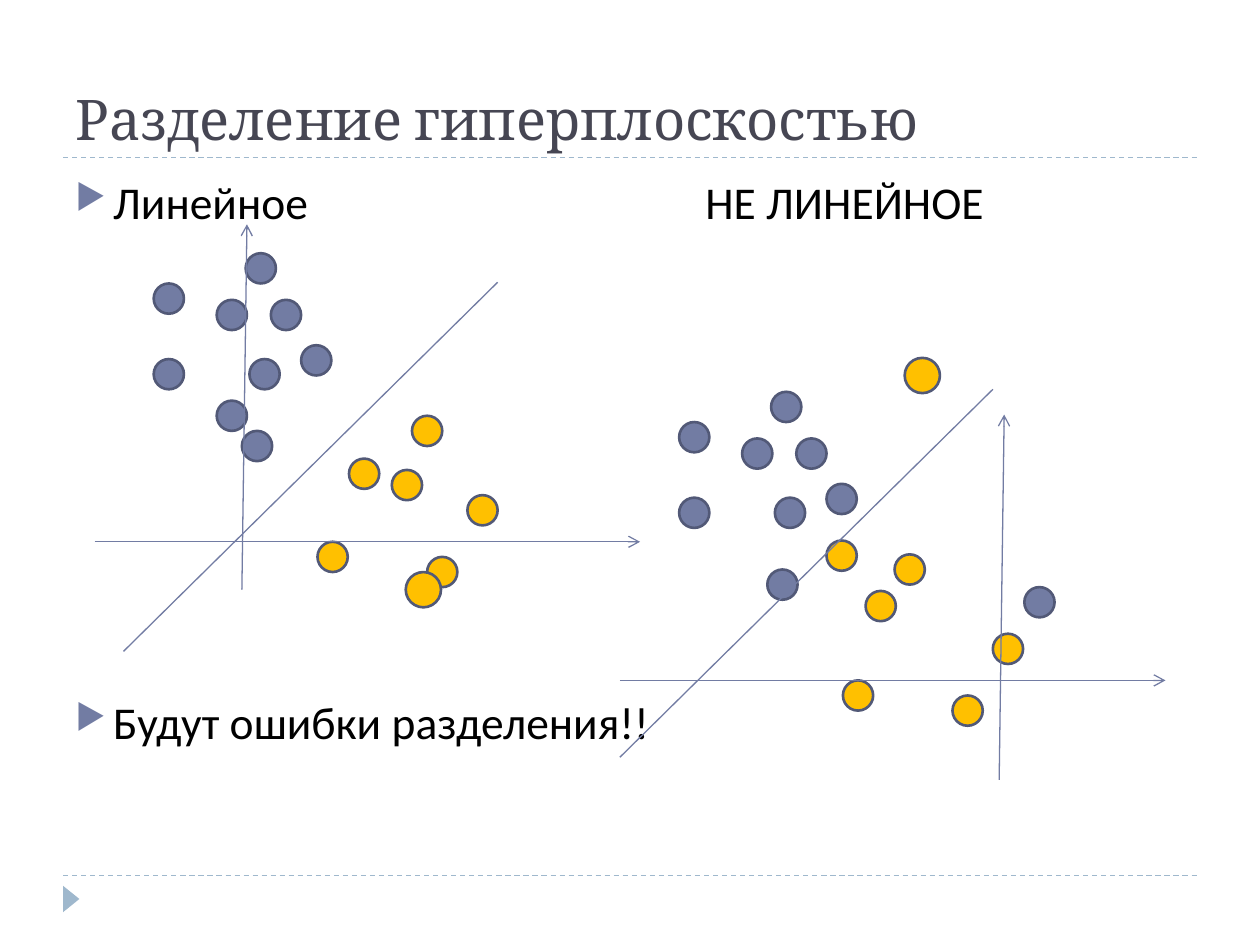
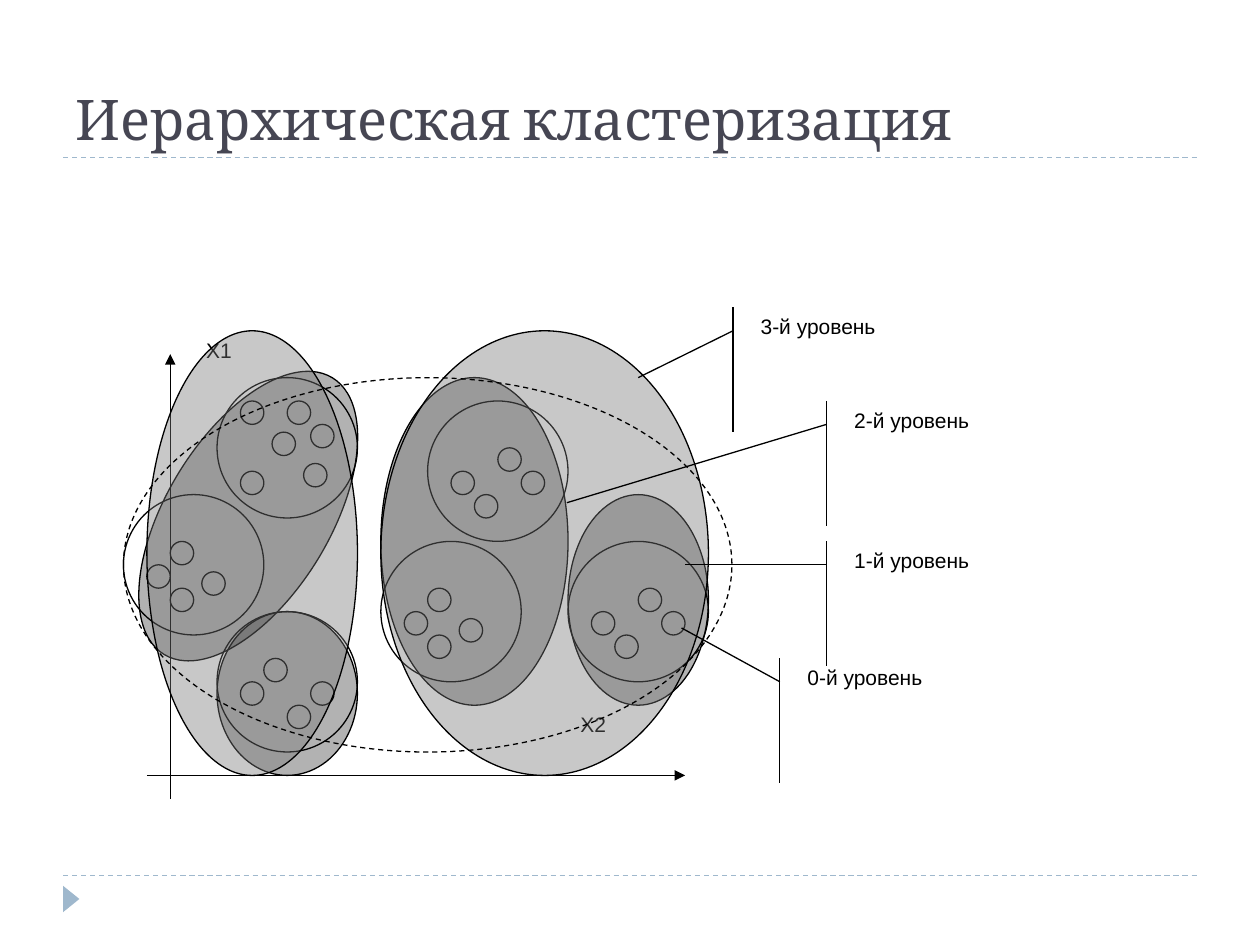
from dataclasses import dataclass

from lxml import etree
from pptx import Presentation
from pptx.dml.color import RGBColor
from pptx.enum.dml import MSO_LINE
from pptx.enum.shapes import MSO_CONNECTOR, MSO_SHAPE
from pptx.enum.text import MSO_ANCHOR, PP_ALIGN
from pptx.oxml.ns import qn
from pptx.util import Inches, Pt

ELLIPSE, TRIANGLE = MSO_SHAPE.OVAL, MSO_SHAPE.ISOSCELES_TRIANGLE
CALLOUT = MSO_SHAPE.LINE_CALLOUT_1_ACCENT_BAR
STRAIGHT, DASH = MSO_CONNECTOR.STRAIGHT, MSO_LINE.DASH
TOP, BOTTOM, LEFT = MSO_ANCHOR.TOP, MSO_ANCHOR.BOTTOM, PP_ALIGN.LEFT


@dataclass(frozen=True)
class Theme:
    accent: str = "727CA3"
    accent_dark: str = "525977"
    pale: str = "9FB8CD"
    yellow: str = "FFC000"
    grey: str = "777777"
    black: str = "000000"
    white: str = "FFFFFF"
    title: tuple = ("Cambria", 32, "464653")
    body: tuple = ("Calibri", 26, "000000")
    label: tuple = ("Arial", 12, "000000")
    thin: float = 0.75
    thick: float = 1.5


THEME = Theme()


@dataclass(frozen=True)
class Grid:
    """Square cells of a given size in inches, counted from an origin."""
    cell: float
    left: float = 0
    top: float = 0

    def point(self, column: float, row: float) -> tuple:
        return (Inches(self.left + column * self.cell),
                Inches(self.top + row * self.cell))

    def box(self, column: float, row: float, width: float, height: float) -> tuple:
        return (*self.point(column, row),
                Inches(width * self.cell), Inches(height * self.cell))


PAGE = Grid(0.1)                            # 100 columns by 75 rows
CLUSTER_GRID = Grid(1.3 / 7, 0.98, 2.44)


@dataclass(frozen=True)
class Style:
    fill: str | None = None
    opacity: int = 100
    line: str | None = None
    weight: float = THEME.thin
    dashed: bool = False
    arrow: str | None = None


@dataclass(frozen=True)
class Panel:
    """One scatter diagram; its points are counted from the panel's grid."""
    grid: Grid
    blue: list
    yellow: list
    large: tuple
    boundary: tuple
    vertical: tuple


@dataclass(frozen=True)
class Level:
    text: str
    column: float
    row: float
    tip: tuple


# Scatter points and axes that both panels share
SHARED_BLUE = [(12.2, 22.5), (19.5, 20.1), (12.2, 28.5), (21.5, 23.8),
               (17.2, 23.8), (19.8, 28.5), (23.9, 27.4), (19.2, 34.2)]
SHARED_YELLOW = [(25.2, 43), (33.9, 44.2), (37.1, 39.3)]
HORIZONTAL_AXIS = ((7.5, 43), (50.8, 43))
DOT, LARGE_DOT = 2.4, 2.8

PANELS = [
    Panel(PAGE, [(17.2, 31.8)], [(32.7, 33), (27.7, 36.4), (31.1, 37.3)],
          (32.2, 45.4), ((39.5, 22.4), (9.8, 51.7)), ((19.2, 46.8), (19.6, 17.8))),
    Panel(Grid(0.1, 4.17, 1.1), [(39.6, 35.6)],
          [(29.3, 33), (23.9, 31.9), (27, 35.9)],
          (30.1, 17.4), ((37.1, 19.9), (7.5, 49.1)), ((37.6, 50.9), (38, 21.9))),
]

# Hierarchy: objects, then clusters of each level
OBJECTS = [
    (5, 4), (6.35, 5.33), (5, 7), (8, 5), (7, 4), (7.7, 6.67),
    (16, 6), (15, 8), (17, 7), (14, 7),
    (12, 13), (13, 14), (13, 12), (14.35, 13.3),
    (7, 17), (6, 15), (8, 16), (5, 16),
    (22, 12), (21, 14), (23, 13), (20, 13),
    (1, 11), (2, 12), (2, 10), (3.35, 11.3),
]
FIRST_LEVEL = [(4, 3), (13, 4), (11, 10), (4, 13), (19, 10), (0, 8)]
FIRST_LEVEL_SIZE = 6
SECOND_LEVEL = [(11, 3, 8, 14, 0), (19, 8, 6, 9, 0),
                (1.83, 2, 7, 13.84, 31.3), (4, 13, 6, 7, 0)]
THIRD_LEVEL = [(1, 1, 9, 19), (11, 1, 14, 19)]
WHOLE_SET = (0, 3, 26, 16)
CLUSTER_AXES = [((2, 21), (2, 2)), ((1, 20), (24, 20))]
AXIS_NAMES = [("Х1", (3, 1, 5, 3)), ("Х2", (19, 17, 6, 3))]
LEVELS = [
    Level("0-й уровень", 28.7, 15, (23.85, 13.7)),
    Level("1-й уровень", 30.7, 10, (24, 11)),
    Level("3-й уровень", 26.7, 0, (22, 3)),
    Level("2-й уровень", 30.7, 4, (18.95, 8.35)),
]
CALLOUT_WIDTH, CALLOUT_HEIGHT, BAR_GAP = 8, 5.33, 0.65


def rgb(color: str) -> RGBColor:
    return RGBColor.from_string(color)


def apply(target, values: dict) -> None:
    for name, value in values.items():
        setattr(target, name, value)


def set_font(paragraph, font: tuple) -> None:
    name, size, color = font
    apply(paragraph.font, {"name": name, "size": Pt(size)})
    paragraph.font.color.rgb = rgb(color)


def set_line(line, style: Style) -> None:
    line.color.rgb = rgb(style.line)
    line.width = Pt(style.weight)
    if style.dashed:
        line.dash_style = DASH


def add_figure(slide, kind, box: tuple, style: Style, rotation: float = 0):
    shape = slide.shapes.add_shape(kind, *box)
    shape.shadow.inherit = False
    shape.rotation = rotation
    if style.fill:
        shape.fill.solid()
        shape.fill.fore_color.rgb = rgb(style.fill)
        if style.opacity < 100:
            color = shape.fill._xPr.find(qn("a:solidFill"))[0]
            etree.SubElement(color, qn("a:alpha"), val=str(style.opacity * 1000))
    else:
        shape.fill.background()
    if style.line:
        set_line(shape.line, style)
    else:
        shape.line.fill.background()
    return shape


def add_line(slide, grid: Grid, ends: tuple, style: Style) -> None:
    start, end = ends
    connector = slide.shapes.add_connector(
        STRAIGHT, *grid.point(*start), *grid.point(*end))
    set_line(connector.line, style)
    if style.arrow:
        etree.SubElement(connector.line._get_or_add_ln(), qn("a:tailEnd"),
                         type=style.arrow)
    etree.SubElement(connector._element.spPr, qn("a:effectLst"))


def write(shape, text: str, font: tuple, anchor=TOP) -> None:
    apply(shape.text_frame, {"word_wrap": True, "vertical_anchor": anchor,
                             "text": text})
    paragraph = shape.text_frame.paragraphs[0]
    paragraph.alignment = LEFT
    set_font(paragraph, font)


def add_text(slide, box: tuple, text: str, font: tuple, anchor=TOP) -> None:
    write(slide.shapes.add_textbox(*box), text, font, anchor)


def add_bullet(paragraph, tab_inches: float) -> None:
    properties = paragraph._p.get_or_add_pPr()
    indent = Inches(0.3)
    properties.set("marL", str(indent))
    properties.set("indent", str(-indent))
    color = etree.SubElement(properties, qn("a:buClr"))
    etree.SubElement(color, qn("a:srgbClr"), val=THEME.accent)
    etree.SubElement(properties, qn("a:buSzPct"), val="76000")
    etree.SubElement(properties, qn("a:buChar"), char="▶")
    tabs = etree.SubElement(properties, qn("a:tabLst"))
    etree.SubElement(tabs, qn("a:tab"), pos=str(Inches(tab_inches)), algn="l")


def add_base_slide(presentation, title: str):
    """Blank slide with the shared rules, corner marker and title."""
    slide = presentation.slides.add_slide(presentation.slide_layouts[6])
    rule = Style(line=THEME.pale, dashed=True)
    for row in (69.5, 12.5):
        add_line(slide, PAGE, ((5, row), (95, row)), rule)
    add_figure(slide, TRIANGLE, PAGE.box(4.6, 70.7, 2.1, 1.3),
               Style(fill=THEME.pale), rotation=90)
    add_text(slide, PAGE.box(5, 1.7, 90, 10.8), title, THEME.title, BOTTOM)
    return slide


def draw_panel(slide, panel: Panel) -> None:
    groups = [(THEME.accent, SHARED_BLUE + panel.blue, DOT),
              (THEME.yellow, SHARED_YELLOW + panel.yellow, DOT),
              (THEME.yellow, [panel.large], LARGE_DOT)]
    for color, points, size in groups:
        style = Style(fill=color, line=THEME.accent_dark, weight=THEME.thick)
        for point in points:
            add_figure(slide, ELLIPSE, panel.grid.box(*point, size, size), style)
    add_line(slide, panel.grid, panel.boundary, Style(line=THEME.accent))
    for axis in (panel.vertical, HORIZONTAL_AXIS):
        add_line(slide, panel.grid, axis, Style(line=THEME.accent, arrow="arrow"))


def add_separation_slide(presentation) -> None:
    slide = add_base_slide(presentation, "Разделение гиперплоскостью")
    frame = slide.shapes.add_textbox(*PAGE.box(5, 13.3, 90, 54)).text_frame
    frame.word_wrap = True
    first, second = frame.paragraphs[0], frame.add_paragraph()
    lines = [(first, "Линейное\tНЕ ЛИНЕЙНОЕ"), (second, "Будут ошибки разделения!!")]
    for paragraph, text in lines:
        paragraph.text = text
        add_bullet(paragraph, tab_inches=5)
        set_font(paragraph, THEME.body)
    second.space_before = Pt(266)
    for panel in PANELS:
        draw_panel(slide, panel)


def add_level(slide, level: Level) -> None:
    box = CLUSTER_GRID.box(level.column, level.row, CALLOUT_WIDTH, CALLOUT_HEIGHT)
    shape = add_figure(slide, CALLOUT, box, Style(fill=THEME.white, line=THEME.black))
    tip_column, tip_row = level.tip
    shares = (1 / CALLOUT_HEIGHT, -BAR_GAP / CALLOUT_WIDTH,
              (tip_row - level.row) / CALLOUT_HEIGHT,
              (tip_column - level.column) / CALLOUT_WIDTH)
    for index, share in enumerate(shares):
        shape.adjustments[index] = share
    write(shape, level.text, THEME.label)


def add_hierarchy_slide(presentation) -> None:
    slide = add_base_slide(presentation, "Иерархическая кластеризация")
    grid, outline = CLUSTER_GRID, Style(line=THEME.black)
    # Axes and objects
    for axis in CLUSTER_AXES:
        add_line(slide, grid, axis, Style(line=THEME.black, arrow="triangle"))
    for place in OBJECTS:
        add_figure(slide, ELLIPSE, grid.box(*place, 1, 1),
                   Style(fill=THEME.white, line=THEME.black))
    for text, place in AXIS_NAMES:
        add_text(slide, grid.box(*place), text, THEME.label)
    # Clusters from the smallest to the whole set
    for place in FIRST_LEVEL:
        add_figure(slide, ELLIPSE,
                   grid.box(*place, FIRST_LEVEL_SIZE, FIRST_LEVEL_SIZE), outline)
    for *place, rotation in SECOND_LEVEL:
        add_figure(slide, ELLIPSE, grid.box(*place),
                   Style(THEME.black, 30, THEME.black), rotation)
    for place in THIRD_LEVEL:
        add_figure(slide, ELLIPSE, grid.box(*place),
                   Style(THEME.grey, 40, THEME.black))
    add_figure(slide, ELLIPSE, grid.box(*WHOLE_SET),
               Style(line=THEME.black, dashed=True))
    for level in LEVELS:
        add_level(slide, level)


def main() -> None:
    presentation = Presentation()
    apply(presentation, {"slide_width": Inches(10), "slide_height": Inches(7.5)})
    add_separation_slide(presentation)
    add_hierarchy_slide(presentation)
    presentation.save("out.pptx")


if __name__ == "__main__":
    main()
